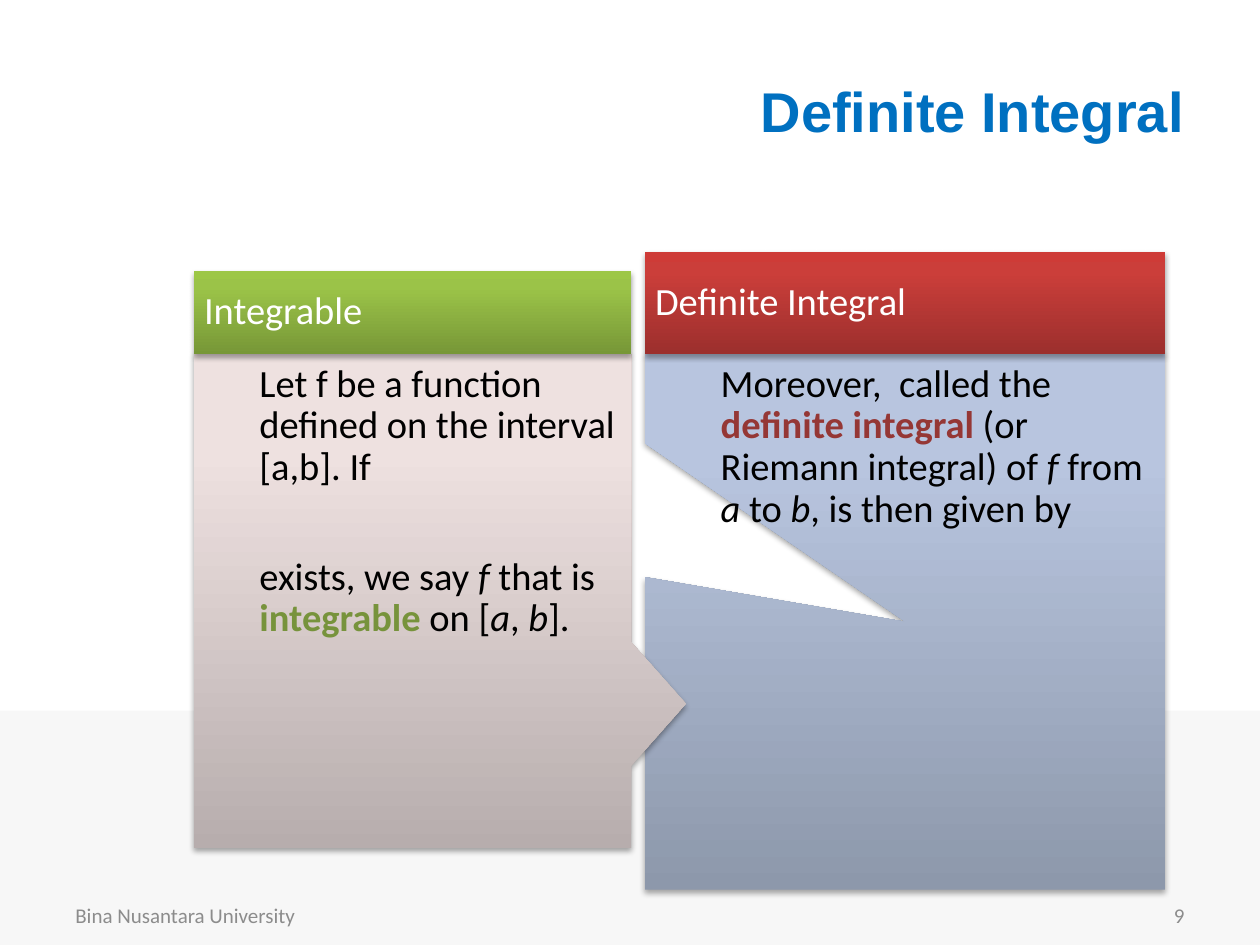
import copy

import pptx
import pptx.dml.color
import pptx.enum.shapes
import pptx.enum.text
import pptx.util
from lxml import etree
from pptx.oxml.ns import qn

Inches = pptx.util.Inches
Pt = pptx.util.Pt
SHAPE = pptx.enum.shapes.MSO_SHAPE
ANCHOR = pptx.enum.text.MSO_ANCHOR
ALIGN = pptx.enum.text.PP_ALIGN

COLORS = {
    "band": "F7F7F7", "title": "0070C0", "footer": "8C8C8C",
    "black": "000000", "white": "FFFFFF",
    "red": "953735", "green": "77933C",
}
# Gradient stops run from the bottom of a shape to its top.
GRADS = {
    "blue": ("8D98AB", "B8C5DF", "B8C6E0"),
    "red": ("9C2F2D", "CB3E3A", "CE3B37"),
    "pink": ("B7ADAD", "EEE1E0", "EFE1E1"),
    "green": ("779737", "9BC348", "9DC746"),
}
STOPS = (0, 0.8, 1)
BODY_TOP = 2.81


def rgb(code):
    return pptx.dml.color.RGBColor.from_string(code)


def place(shape, box):
    shape.left, shape.top, shape.width, shape.height = map(Inches, box)


def style(run, size, color, font="Calibri", bold=False, italic=False):
    run.font.size = Pt(size)
    run.font.name = font
    run.font.bold = bold
    run.font.italic = italic
    run.font.color.rgb = rgb(COLORS[color])


def add_title(slide, text):
    title = slide.shapes.title
    place(title, (0.5, 0.25, 9, 1.25))
    frame = title.text_frame
    frame.text = text
    frame.vertical_anchor = ANCHOR.MIDDLE
    para = frame.paragraphs[0]
    para.alignment = ALIGN.RIGHT
    style(para.runs[0], 32, "title", "Arial", bold=True)


def add_band(slide):
    band = slide.shapes.add_shape(SHAPE.RECTANGLE, *map(Inches, (0, 5.64, 10, 1.86)))
    band.shadow.inherit = False
    band.fill.solid()
    band.fill.fore_color.rgb = rgb(COLORS["band"])
    band.line.fill.background()


def add_footer(slide, left, text, align):
    box = slide.shapes.add_textbox(*map(Inches, (left, 7.06, 2.33, 0.4)))
    frame = box.text_frame
    frame.word_wrap = True
    frame.text = text
    frame.vertical_anchor = ANCHOR.MIDDLE
    frame.paragraphs[0].alignment = align
    style(frame.paragraphs[0].runs[0], 12, "footer")


def add_shadow(shape):
    shape.shadow.inherit = False
    effects = shape._element.spPr.find(qn("a:effectLst"))
    outer = etree.SubElement(
        effects, qn("a:outerShdw"), blurRad=str(Pt(3.1)), dist=str(Pt(1.8)),
        dir="5400000", rotWithShape="0")
    black = etree.SubElement(outer, qn("a:srgbClr"), val=COLORS["black"])
    etree.SubElement(black, qn("a:alpha"), val="35000")


def add_panel(slide, kind, box, grad, tip=()):
    """Add a shaded shape; tip gives the callout point from its centre."""
    panel = slide.shapes.add_shape(kind, *map(Inches, box))
    for i, value in enumerate(tip):
        panel.adjustments[i] = value
    panel.fill.gradient()
    panel.fill.gradient_angle = 90
    stops = panel._element.spPr.find(qn("a:gradFill")).find(qn("a:gsLst"))
    stops.append(copy.deepcopy(stops[-1]))
    for stop, pos, code in zip(panel.fill.gradient_stops, STOPS, GRADS[grad]):
        stop.position = pos
        stop.color.rgb = rgb(code)
    panel.line.fill.background()
    add_shadow(panel)


def add_text(slide, box, paras, color, anchor=ANCHOR.TOP, gap=0):
    """Add paragraphs of (text, options) runs, gap points apart."""
    frame = slide.shapes.add_textbox(*map(Inches, box)).text_frame
    frame.word_wrap = True
    frame.vertical_anchor = anchor
    frame.margin_left = frame.margin_right = Inches(0.08)
    frame.margin_top = frame.margin_bottom = Inches(0.08)
    for i, runs in enumerate(paras):
        para = frame.add_paragraph() if i else frame.paragraphs[0]
        para.line_spacing = 0.9
        if i:
            para.space_before = Pt(gap)
        for text, opts in runs:
            run = para.add_run()
            run.text = text
            style(run, 22, **{"color": color, **opts})


def add_card(slide, left, width, top, height, indent, head, body, grads, tip):
    """Add a heading bar with a callout holding the body text below it."""
    add_panel(slide, SHAPE.RECTANGULAR_CALLOUT,
              (left, BODY_TOP, width, height), grads[1], tip)
    add_text(slide, (left + indent, BODY_TOP, width - indent, height),
             body, "black", gap=39)
    bar = (left, top, width, BODY_TOP - top)
    add_panel(slide, SHAPE.RECTANGLE, bar, grads[0])
    add_text(slide, bar, [[(head, {})]], "white", ANCHOR.MIDDLE)


def main():
    deck = pptx.Presentation()
    deck.slide_width, deck.slide_height = Inches(10), Inches(7.5)
    slide = deck.slides.add_slide(deck.slide_layouts[5])

    plain, slant = {}, {"italic": True}
    given = [[
        ("Moreover,  called the ", plain),
        ("definite integral ", {"color": "red", "bold": True}),
        ("(or Riemann integral) of ", plain), ("f ", slant),
        ("from ", plain), ("a ", slant), ("to ", plain), ("b", slant),
        (", is then given by", plain),
    ]]
    exists = [
        [("Let f be a function defined on the interval [a,b]. If", plain)],
        [("exists, we say ", plain), ("f ", slant), ("that is ", plain),
         ("integrable ", {"color": "green", "bold": True}),
         ("on [", plain), ("a", slant), (", ", plain), ("b", slant),
         ("].", plain)],
    ]

    add_band(slide)
    add_title(slide, "Definite Integral")
    add_footer(slide, 0.5, "Bina Nusantara University", ALIGN.LEFT)
    add_footer(slide, 7.17, "9", ALIGN.RIGHT)
    add_card(slide, 5.12, 4.13, 2, 4.25, 0.52, "Definite Integral", given,
             ("red", "blue"), (0, 0))
    add_card(slide, 1.54, 3.47, 2.15, 3.92, 0.44, "Integrable", exists,
             ("green", "pink"), (0.625, 0.208))
    deck.save("out.pptx")


if __name__ == "__main__":
    main()
